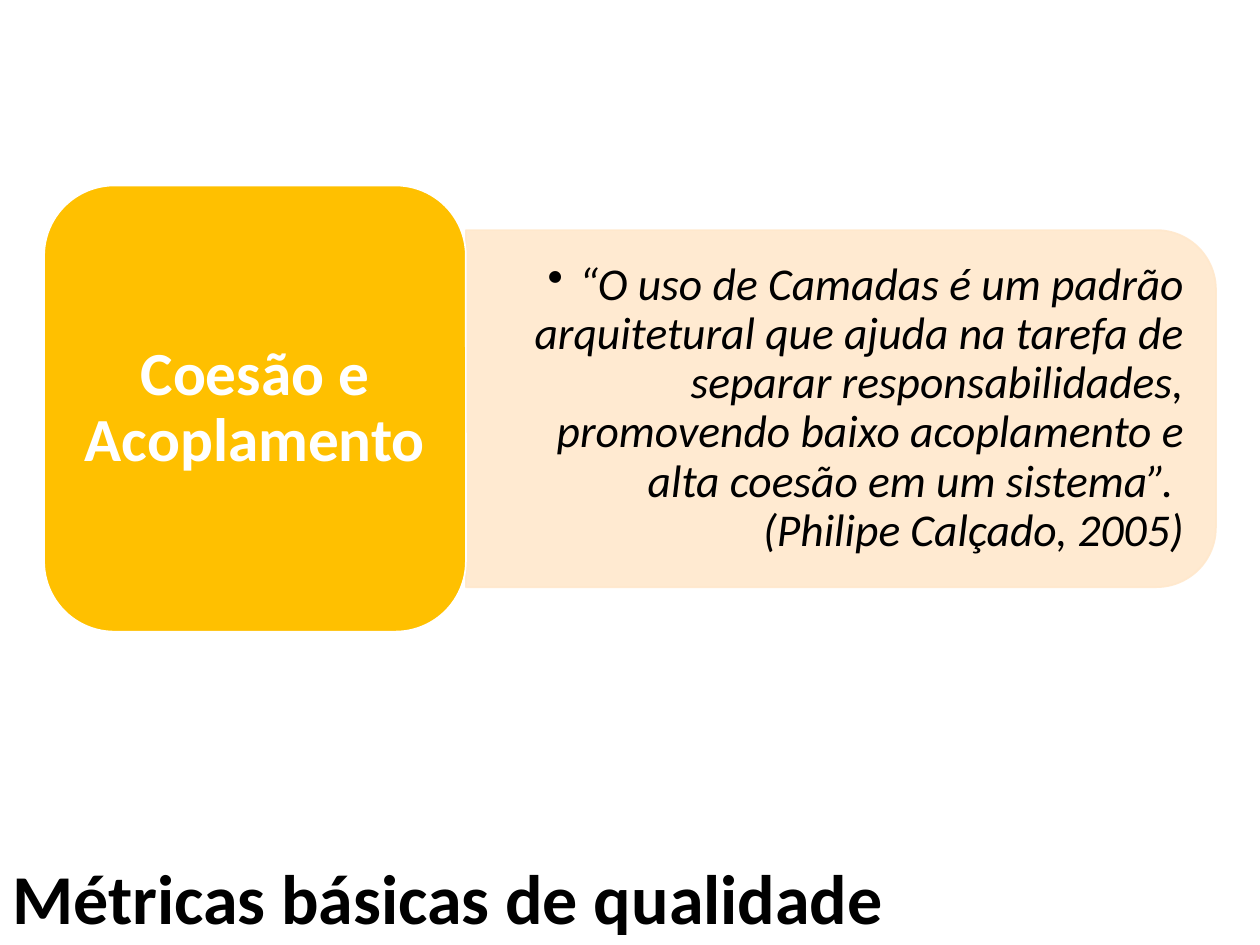
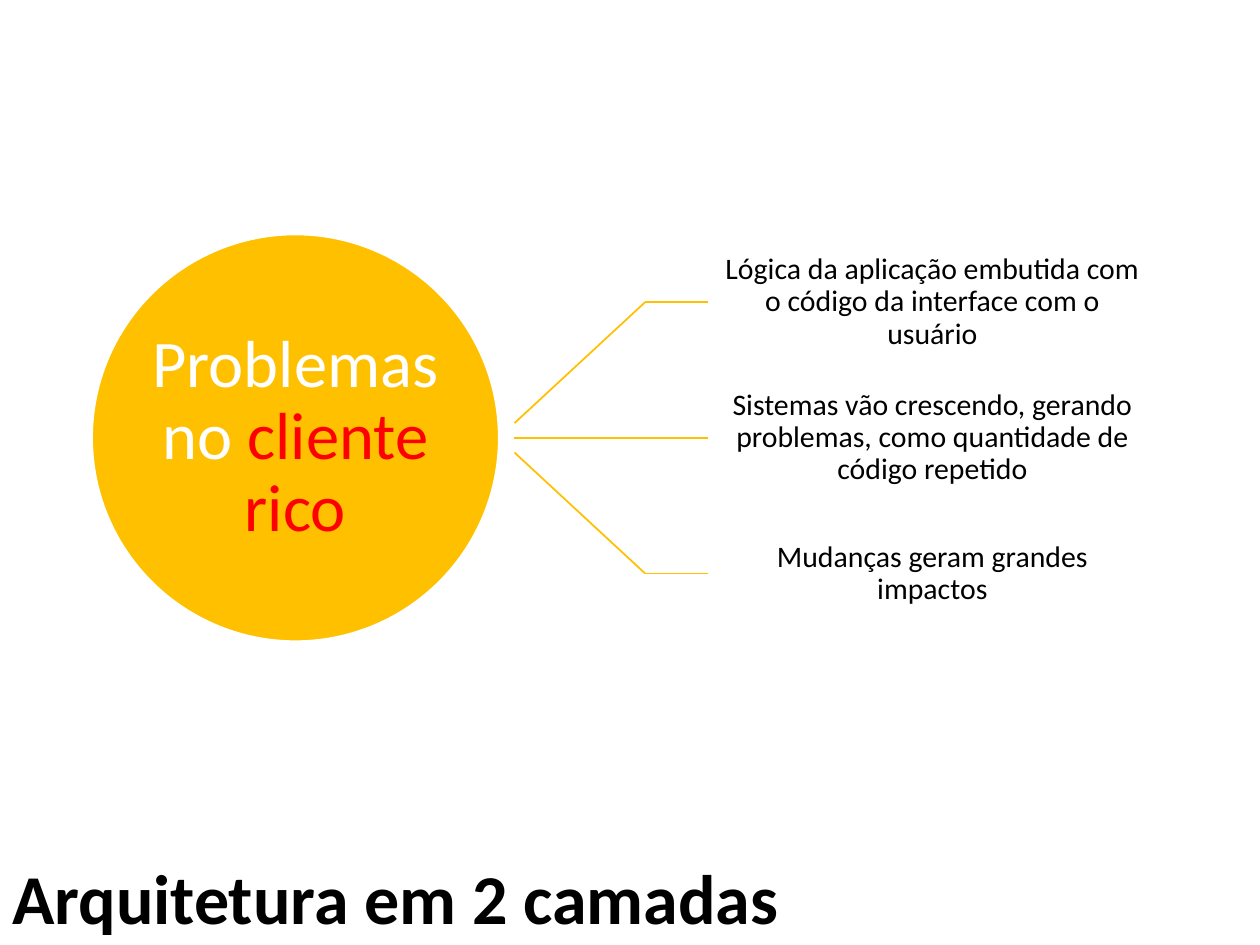
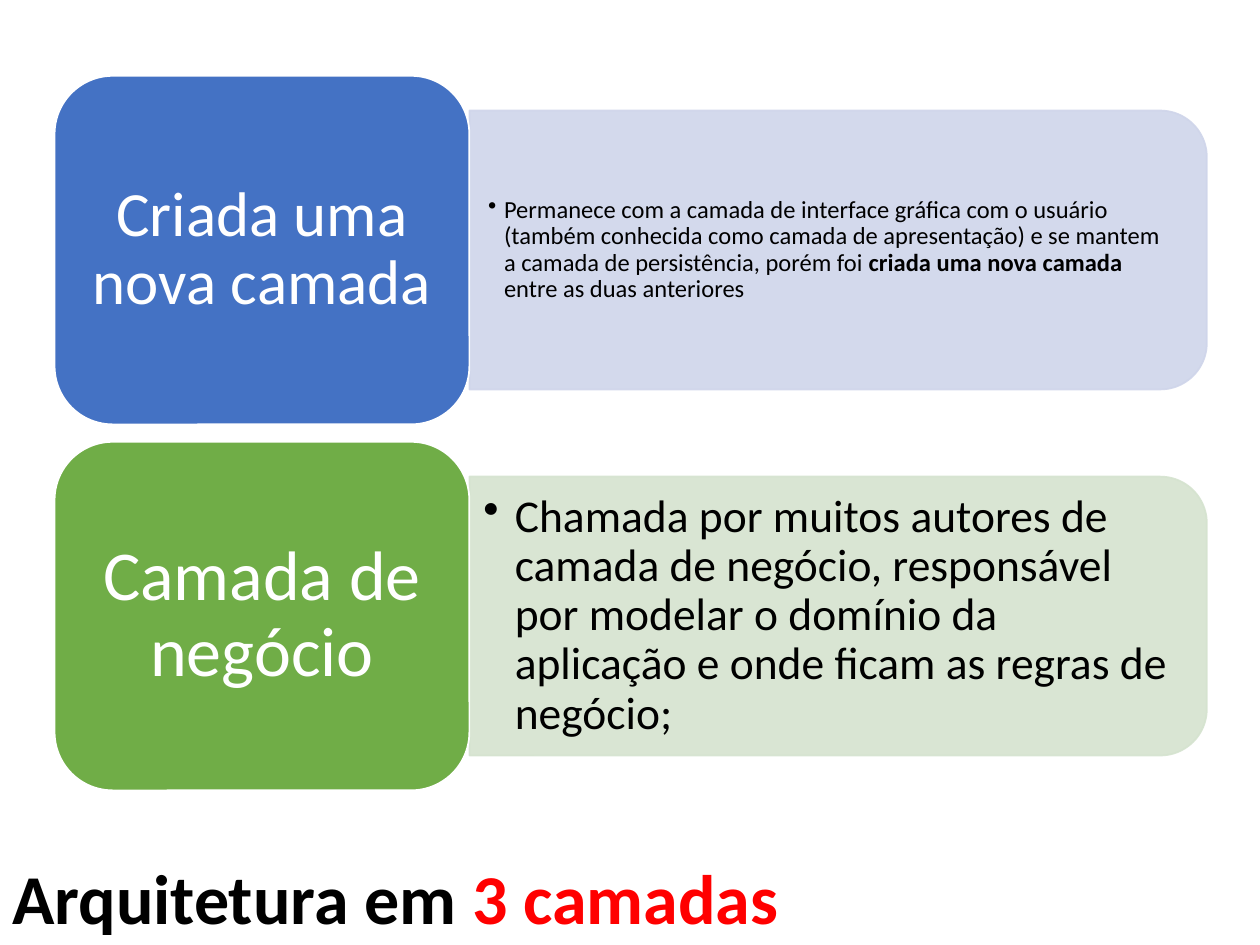
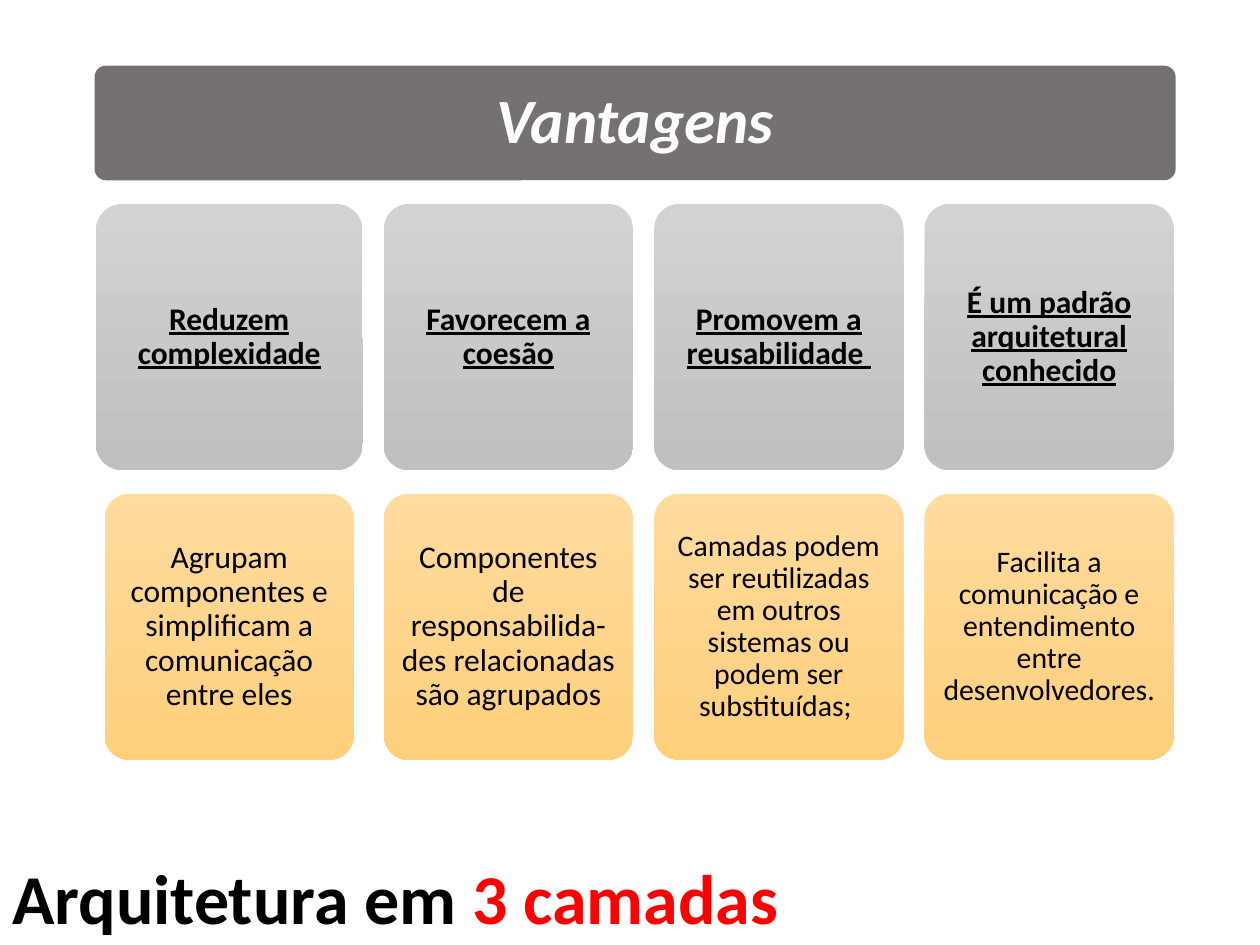
from lxml import etree
from pptx import Presentation
from pptx.dml.color import RGBColor
from pptx.enum import shapes, text
from pptx.oxml import ns
from pptx.util import Pt

BLACK = RGBColor(0x00, 0x00, 0x00)
WHITE = RGBColor(0xFF, 0xFF, 0xFF)
RED = RGBColor(0xFF, 0x00, 0x00)
AMBER = RGBColor(0xFF, 0xC0, 0x00)
PEACH = RGBColor(0xFF, 0xE8, 0xCC)
BLUE = RGBColor(0x44, 0x72, 0xC4)
PALE_BLUE = RGBColor(0xCF, 0xD5, 0xEA)
GREEN = RGBColor(0x70, 0xAD, 0x47)
PALE_GREEN = RGBColor(0xD5, 0xE3, 0xCF)
GRAY = RGBColor(0x76, 0x71, 0x71)
SILVER = (RGBColor(0xD2, 0xD2, 0xD2), RGBColor(0xC0, 0xC0, 0xC0))
APRICOT = (RGBColor(0xFF, 0xDB, 0x9E), RGBColor(0xFF, 0xD0, 0x7C))

FONT = "Calibri"
LEFT, CENTER, RIGHT = (text.PP_ALIGN.LEFT, text.PP_ALIGN.CENTER,
                       text.PP_ALIGN.RIGHT)
ROUND = shapes.MSO_SHAPE.ROUNDED_RECTANGLE
TILE_SHARE, PANEL_HEIGHT, BAND_PITCH = 0.36, 0.8, 1.05
PANEL_MARGIN = 10
THREE_LAYERS = [("Arquitetura em ", {}), ("3 camadas", {"color": RED})]


def pts(*lengths):
    return [Pt(n) for n in lengths]


def write(sp, runs, size, inset=(7.2, 3.6), align=CENTER, color=BLACK,
          anchor=text.MSO_ANCHOR.MIDDLE, spacing=0.9, **font):
    """Fill a shape with one paragraph; runs is a string or (text, format) pairs."""
    if isinstance(runs, str):
        runs = [(runs, {})]
    tf = sp.text_frame
    x, y = pts(*inset)
    frame = {"word_wrap": True, "vertical_anchor": anchor, "margin_left": x,
             "margin_right": x, "margin_top": y, "margin_bottom": y}
    for name, value in frame.items():
        setattr(tf, name, value)
    p = tf.paragraphs[0]
    p.alignment, p.line_spacing = align, spacing
    for words, own in runs:
        style = {"name": FONT, "size": Pt(size), "color": color, **font, **own}
        rgb = style.pop("color")
        for i, line in enumerate(words.split("\n")):
            if i:
                p.add_line_break()
            r = p.add_run()
            r.text = line
            r.font.color.rgb = rgb
            for name, value in style.items():
                setattr(r.font, name, value)
    return p


def add_bullet(p, indent):
    pPr = p._p.get_or_add_pPr()
    pPr.set("marL", str(Pt(indent)))
    pPr.set("indent", str(-Pt(indent)))
    etree.SubElement(pPr, ns.qn("a:buChar"), char="•")


def add_filled(slide, kind, box, fill, line=None):
    """Add a preset shape; a pair of colours as fill gives a vertical gradient."""
    sp = slide.shapes.add_shape(kind, *pts(*box))
    sp.shadow.inherit = False
    if isinstance(fill, RGBColor):
        sp.fill.solid()
        sp.fill.fore_color.rgb = fill
    else:
        sp.fill.gradient()
        sp.fill.gradient_angle = 270
        for stop, color in zip(sp.fill.gradient_stops, fill):
            stop.color.rgb = color
    if line is None:
        sp.line.fill.background()
    else:
        sp.line.color.rgb = line
        sp.line.width = Pt(1)
    return sp


def add_line(slide, start, end):
    c = slide.shapes.add_connector(shapes.MSO_CONNECTOR.STRAIGHT,
                                   *pts(*start, *end))
    c.line.color.rgb, c.line.width = AMBER, Pt(1)
    etree.SubElement(c._element.spPr, ns.qn("a:effectLst"))


def add_title(slide, runs, width=690):
    sp = slide.shapes.add_textbox(*pts(0, 484.6, width, 55.4))
    write(sp, runs, 40, align=LEFT, anchor=text.MSO_ANCHOR.TOP, spacing=1.0,
          bold=True)
    sp.text_frame.auto_size = text.MSO_AUTO_SIZE.SHAPE_TO_FIT_TEXT


def add_panel(slide, box, fill, runs, indent, **style):
    """Translucent panel rounded on its right side, with a bulleted text."""
    x, y, w, h = box
    turned = (x + (w - h) / 2, y + (h - w) / 2, h, w)
    sp = add_filled(slide, shapes.MSO_SHAPE.ROUND_2_SAME_RECTANGLE, turned,
                    fill, fill)
    sp.rotation = 90
    for clr in sp._element.spPr.iter(ns.qn("a:srgbClr")):
        etree.SubElement(clr, ns.qn("a:alpha"), val="90000")
    m = PANEL_MARGIN
    tb = slide.shapes.add_textbox(*pts(x, y + m, w - m, h - 2 * m))
    add_bullet(write(tb, runs, **style), indent)


def add_band(slide, box, tile, panel):
    """Heading tile on the left with its panel on the right."""
    x, y, w, h = box
    tile_w, panel_h = w * TILE_SHARE, h * PANEL_HEIGHT
    add_panel(slide, (x + tile_w, y + (h - panel_h) / 2, w - tile_w, panel_h),
              **panel)
    tile = dict(tile)
    sp = add_filled(slide, ROUND, (x, y, tile_w, h), tile.pop("fill"), WHITE)
    write(sp, color=WHITE, **tile)


def add_fan(slide, box, heading, labels):
    """Circle with lines that fan out to a column of labels."""
    x, y, w, d = box
    circle = add_filled(slide, shapes.MSO_SHAPE.OVAL, (x, y, d, d), AMBER, WHITE)
    write(circle, heading, 38, inset=(0, 0), color=WHITE)
    start_x, elbow_x, label_x = x + 241.4, x + 316, x + 352
    step = d / len(labels)
    for i, label in enumerate(labels):
        top = y + i * step
        mid = top + step / 2
        start_y = y + d / 2 + (i - (len(labels) - 1) / 2) * 8.4
        add_line(slide, (start_x, start_y), (elbow_x, mid))
        add_line(slide, (elbow_x, mid), (label_x, mid))
        tb = slide.shapes.add_textbox(*pts(label_x, top, x + w - label_x, step))
        write(tb, label, 17, inset=(9.4, 9.4))


def add_card(slide, box, fill, runs, size, inset=5, **style):
    sp = add_filled(slide, ROUND, box, fill)
    sp.adjustments[0] = 0.1
    write(sp, runs, size, inset=(inset, inset), **style)


def add_columns(slide, box, header, columns):
    """Header bar above columns of a heading card and a detail card."""
    x, y, w, h = box
    bar_h, card_h, row_gap, gap = 65.5, 152, 13.6, 12
    add_card(slide, (x, y, w, bar_h), GRAY, header, 36, 10.8, color=WHITE,
             bold=True, italic=True)
    head_y = y + bar_h + row_gap
    card_w = 142.5
    left = x + 0.7
    for i, (head, detail, size) in enumerate(columns):
        head_w = 152.6 if i == 0 else card_w
        add_card(slide, (left, head_y, head_w, card_h), SILVER, head, 18,
                 bold=True, underline=True)
        add_card(slide, (left + (head_w - card_w) / 2, y + h - card_h,
                         card_w, card_h), APRICOT, detail, size)
        left += head_w + gap


def quality_slide(slide):
    add_title(slide, "Métricas básicas de qualidade", 627)
    add_band(slide, (25.2, 106, 669.6, 255),
             dict(fill=AMBER, runs="Coesão e Acoplamento", size=35,
                  inset=(10.8, 5), bold=True),
             dict(fill=PEACH, indent=18, size=26, inset=(8, 4), align=RIGHT,
                  italic=True,
                  runs="“O uso de Camadas é um padrão arquitetural que ajuda "
                       "na tarefa de separar responsabilidades, promovendo "
                       "baixo acoplamento e alta coesão em um sistema”. \n"
                       "(Philipe Calçado, 2005)"))


def two_layers_slide(slide):
    add_title(slide, "Arquitetura em 2 camadas")
    add_fan(slide, (52.6, 134, 608.4, 232.4),
            [("Problemas no ", {}), ("cliente rico", {"color": RED})],
            ["Lógica da aplicação embutida com o código da interface com o "
             "usuário",
             "Sistemas vão crescendo, gerando problemas, como quantidade de "
             "código repetido",
             "Mudanças geram grandes impactos"])


def new_layer_slide(slide):
    add_title(slide, THREE_LAYERS)
    bands = [
        (dict(fill=BLUE, runs="Criada uma nova camada", size=36,
              inset=(10.8, 5)),
         dict(fill=PALE_BLUE, indent=9, size=14, inset=(10.8, 5), align=LEFT,
              runs=[("Permanece com a camada de interface gráfica com o "
                     "usuário (também conhecida como camada de apresentação) "
                     "e se mantem a camada de persistência, porém foi ", {}),
                    ("criada uma nova camada", {"bold": True}),
                    (" entre as duas anteriores", {})])),
        (dict(fill=GREEN, runs="Camada de negócio", size=40, inset=(12, 6)),
         dict(fill=PALE_GREEN, indent=18, size=26, inset=(8, 4), align=LEFT,
              runs="Chamada por muitos autores de camada de negócio, "
                   "responsável por modelar o domínio da aplicação e onde "
                   "ficam as regras de negócio;")),
    ]
    h = 199.2
    for i, (tile, panel) in enumerate(bands):
        add_band(slide, (31.2, 43.3 + i * h * BAND_PITCH, 658.4, h), tile, panel)


def advantages_slide(slide):
    add_columns(slide, (54, 37.5, 617.8, 396.7), "Vantagens", [
        ("Reduzem complexidade",
         "Agrupam componentes e simplificam a comunicação entre eles", 18),
        ("Favorecem a coesão",
         "Componentes de responsabilida-des relacionadas são agrupados", 18),
        ("Promovem a reusabilidade ",
         "Camadas podem ser reutilizadas em outros sistemas ou podem ser "
         "substituídas; ", 17),
        ("É um padrão arquitetural conhecido",
         "Facilita a comunicação e entendimento entre desenvolvedores. ", 17),
    ])
    add_title(slide, THREE_LAYERS)


def main():
    prs = Presentation()
    prs.slide_width, prs.slide_height = pts(720, 540)
    for build in (quality_slide, two_layers_slide, new_layer_slide,
                  advantages_slide):
        build(prs.slides.add_slide(prs.slide_layouts[6]))
    prs.save("out.pptx")


if __name__ == "__main__":
    main()
